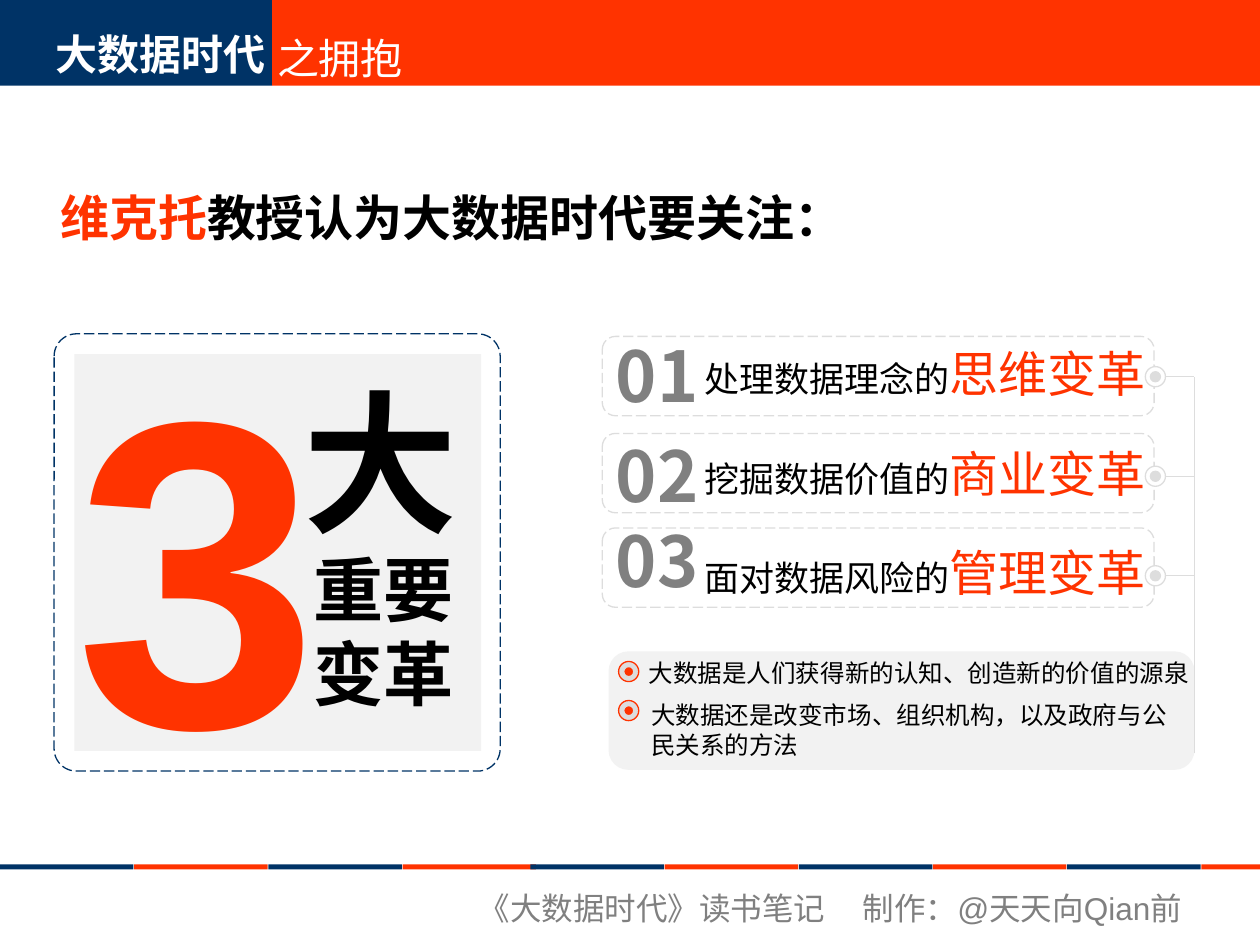
from dataclasses import dataclass

from lxml import etree
from pptx import Presentation
from pptx.dml.color import RGBColor
from pptx.enum.dml import MSO_LINE
from pptx.enum.shapes import MSO_CONNECTOR, MSO_SHAPE
from pptx.enum.text import MSO_AUTO_SIZE
from pptx.oxml.ns import qn
from pptx.util import Inches, Pt

RECTANGLE = MSO_SHAPE.RECTANGLE
ROUNDED = MSO_SHAPE.ROUNDED_RECTANGLE
OVAL = MSO_SHAPE.OVAL
STRAIGHT = MSO_CONNECTOR.STRAIGHT
LONG_DASH = MSO_LINE.LONG_DASH
FIT_SHAPE = MSO_AUTO_SIZE.SHAPE_TO_FIT_TEXT
NO_FIT = MSO_AUTO_SIZE.NONE

COLORS = {
    "navy": "003366",
    "orange": "FF3300",
    "white": "FFFFFF",
    "black": "000000",
    "gray": "808080",
    "rule": "DDDDDD",
    "panel": "F2F2F2",
}
BODY_FONT = "Arial"
NUMBER_FONT = "Noto Sans CJK JP"


@dataclass
class Box:
    left: float
    top: float
    width: float
    height: float

    def lengths(self) -> list:
        return [Inches(value) for value in (self.left, self.top, self.width, self.height)]


@dataclass
class Span:
    text: str
    size: float
    color: str


@dataclass
class Change:
    number: str
    lead: str
    name: str
    card_top: float
    number_top: float


@dataclass
class Note:
    text: str
    box: Box
    marker_top: float


CHANGES = [
    Change("01", "处理数据理念的", "思维变革", 2.67, 2.59),
    Change("02", "挖掘数据价值的", "商业变革", 3.44, 3.38),
    Change("03", "面对数据风险的", "管理变革", 4.19, 4.06),
]
NOTES = [
    Note("大数据是人们获得新的认知、创造新的价值的源泉", Box(5.05, 5.17, 4.52, 0.34), 5.25),
    Note("大数据还是改变市场、组织机构，以及政府与公民关系的方法",
         Box(5.07, 5.51, 4.33, 0.57), 5.56),
]
CHANGE_STEP = 0.79
TRUNK_LEFT = 9.48
RING_SIZE = 0.16
DOT_SIZE = 0.08


def rgb(color: str) -> RGBColor:
    return RGBColor.from_string(COLORS[color])


def add_block(slide, kind, box: Box, fill: str = "", line: str = "",
              dashed: bool = False, corner: float = 0.167):
    shape = slide.shapes.add_shape(kind, *box.lengths())
    shape.shadow.inherit = False
    if kind == ROUNDED:
        shape.adjustments[0] = corner
    if fill:
        shape.fill.solid()
        shape.fill.fore_color.rgb = rgb(fill)
    else:
        shape.fill.background()
    if line:
        shape.line.color.rgb = rgb(line)
        shape.line.width = Pt(0.75)
        if dashed:
            shape.line.dash_style = LONG_DASH
    else:
        shape.line.fill.background()
    return shape


def add_text(slide, box: Box, paragraphs: list[list[Span]], bold: bool = False,
             wrap: bool = False, font: str = BODY_FONT) -> None:
    shape = slide.shapes.add_textbox(*box.lengths())
    frame = shape.text_frame
    frame.word_wrap = wrap
    frame.auto_size = NO_FIT if wrap else FIT_SHAPE
    for index, spans in enumerate(paragraphs):
        paragraph = frame.paragraphs[0] if index == 0 else frame.add_paragraph()
        paragraph.font.name = font
        paragraph.font.bold = bold
        for span in spans:
            run = paragraph.add_run()
            run.text = span.text
            run.font.size = Pt(span.size)
            run.font.color.rgb = rgb(span.color)


def add_line(slide, start: tuple[float, float], end: tuple[float, float]) -> None:
    points = [Inches(value) for value in (*start, *end)]
    connector = slide.shapes.add_connector(STRAIGHT, *points)
    connector.line.color.rgb = rgb("rule")
    connector.line.width = Pt(0.75)
    etree.SubElement(connector._element.spPr, qn("a:effectLst"))


def add_target(slide, left: float, top: float, ring_fill: str, ring_line: str,
               dot_fill: str) -> None:
    inset = (RING_SIZE - DOT_SIZE) / 2
    add_block(slide, OVAL, Box(left, top, RING_SIZE, RING_SIZE), ring_fill, ring_line)
    add_block(slide, OVAL, Box(left + inset, top + inset, DOT_SIZE, DOT_SIZE),
              dot_fill, "rule")


def add_header(slide) -> None:
    add_block(slide, RECTANGLE, Box(0, -0.03, 2.16, 0.71), "navy")
    add_block(slide, RECTANGLE, Box(2.16, -0.03, 7.84, 0.71), "orange")
    add_text(slide, Box(0.34, 0.18, 1.9, 0.5), [[Span("大数据时代", 24, "white")]], bold=True)
    add_text(slide, Box(2.1, 0.21, 1.22, 0.5), [[Span("之拥抱", 24, "white")]])
    add_text(slide, Box(0.38, 1.44, 6.41, 0.57),
             [[Span("维克托", 28, "orange"),
               Span("教授认为大数据时代要关注：", 28, "black")]], bold=True)


def add_footer(slide) -> None:
    for start, count in ((0, 4), (4.21, 6)):
        for index in range(count):
            left = start + index * 1.065
            color = "orange" if index % 2 else "navy"
            add_block(slide, RECTANGLE, Box(left, 6.86, min(1.06, 10 - left), 0.04), color)
    add_text(slide, Box(3.7, 7.01, 2.95, 0.4), [[Span("《大数据时代》读书笔记", 18, "gray")]])
    add_text(slide, Box(6.75, 7.01, 2.97, 0.4), [[Span("制作：@天天向Qian前", 18, "gray")]])


def add_headline_panel(slide) -> None:
    add_block(slide, RECTANGLE, Box(0.59, 2.81, 3.23, 3.15), "panel")
    add_text(slide, Box(0.5, 2.25, 2.13, 4.27), [[Span("3", 250, "orange")]], bold=True)
    add_text(slide, Box(2.31, 2.87, 1.42, 1.57), [[Span("大", 88, "black")]], bold=True)
    add_text(slide, Box(2.39, 4.29, 1.31, 1.44),
             [[Span("重要", 40, "black")], [Span("变革", 40, "black")]], bold=True)
    add_block(slide, ROUNDED, Box(0.43, 2.65, 3.54, 3.47), line="navy",
              dashed=True, corner=0.051)


def add_changes(slide) -> None:
    add_line(slide, (TRUNK_LEFT, 5.98), (TRUNK_LEFT, 2.99))
    for index, change in enumerate(CHANGES):
        offset = index * CHANGE_STEP
        add_text(slide, Box(5.49, 2.68 + offset, 3.7, 0.57),
                 [[Span(change.lead, 20, "black"), Span(change.name, 28, "orange")]])
        add_text(slide, Box(4.79, change.number_top, 0.87, 0.77),
                 [[Span(change.number, 40, "gray")]], bold=True, font=NUMBER_FONT)
        add_line(slide, (9.24, 2.99 + offset), (TRUNK_LEFT, 2.99 + offset))
        add_block(slide, ROUNDED, Box(4.78, change.card_top, 4.38, 0.63),
                  line="rule", dashed=True)
        add_target(slide, 9.09, 2.91 + offset, "white", "rule", "rule")


def add_notes_panel(slide) -> None:
    add_block(slide, ROUNDED, Box(4.83, 5.17, 4.65, 0.94), "panel")
    for note in NOTES:
        add_text(slide, note.box, [[Span(note.text, 14, "black")]], wrap=True)
        add_target(slide, 4.91, note.marker_top, "rule", "orange", "orange")


def main() -> None:
    presentation = Presentation()
    presentation.slide_width = Inches(10)
    presentation.slide_height = Inches(7.5)
    slide = presentation.slides.add_slide(presentation.slide_layouts[6])
    add_header(slide)
    add_footer(slide)
    add_headline_panel(slide)
    add_notes_panel(slide)
    add_changes(slide)
    presentation.save("out.pptx")


if __name__ == "__main__":
    main()
